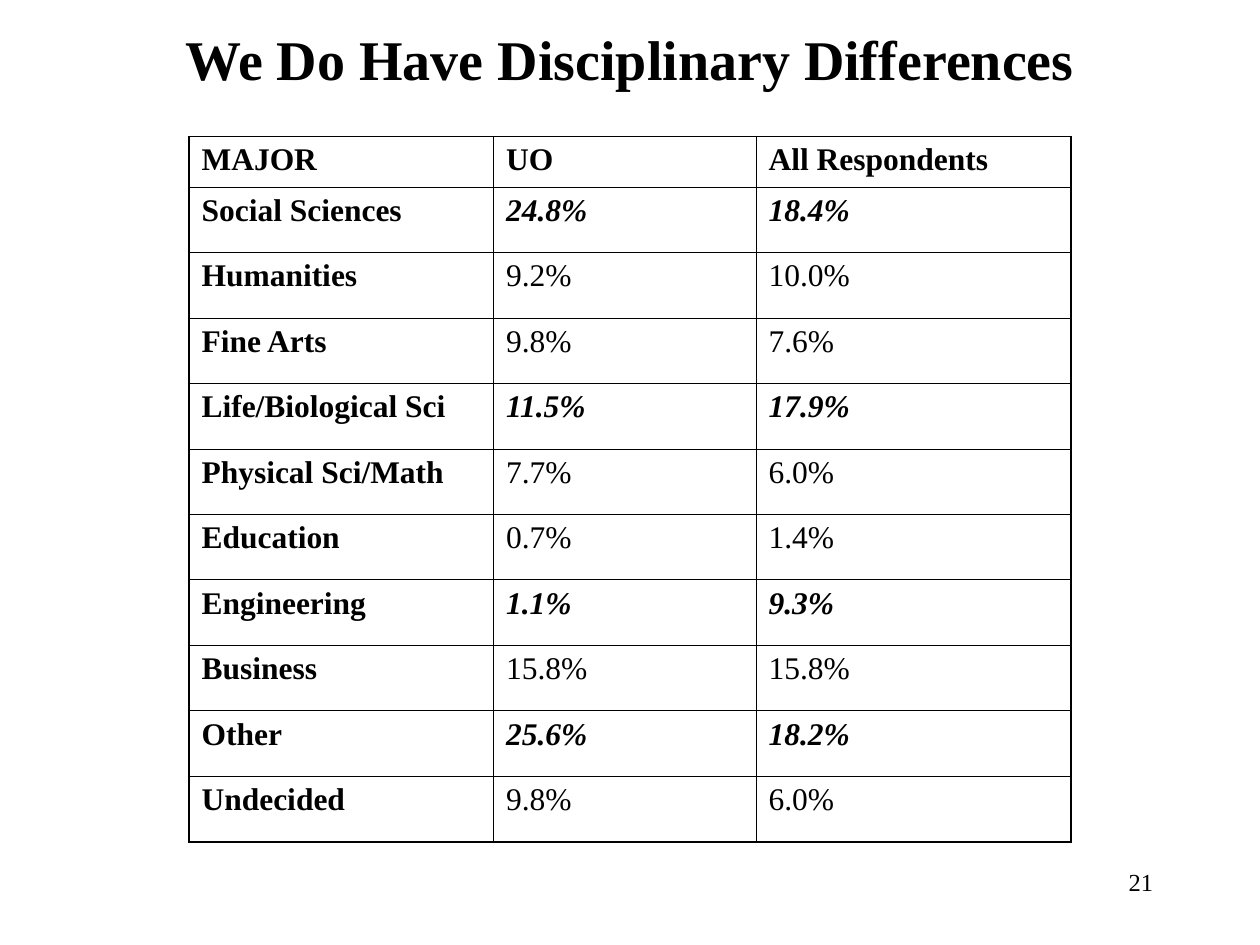
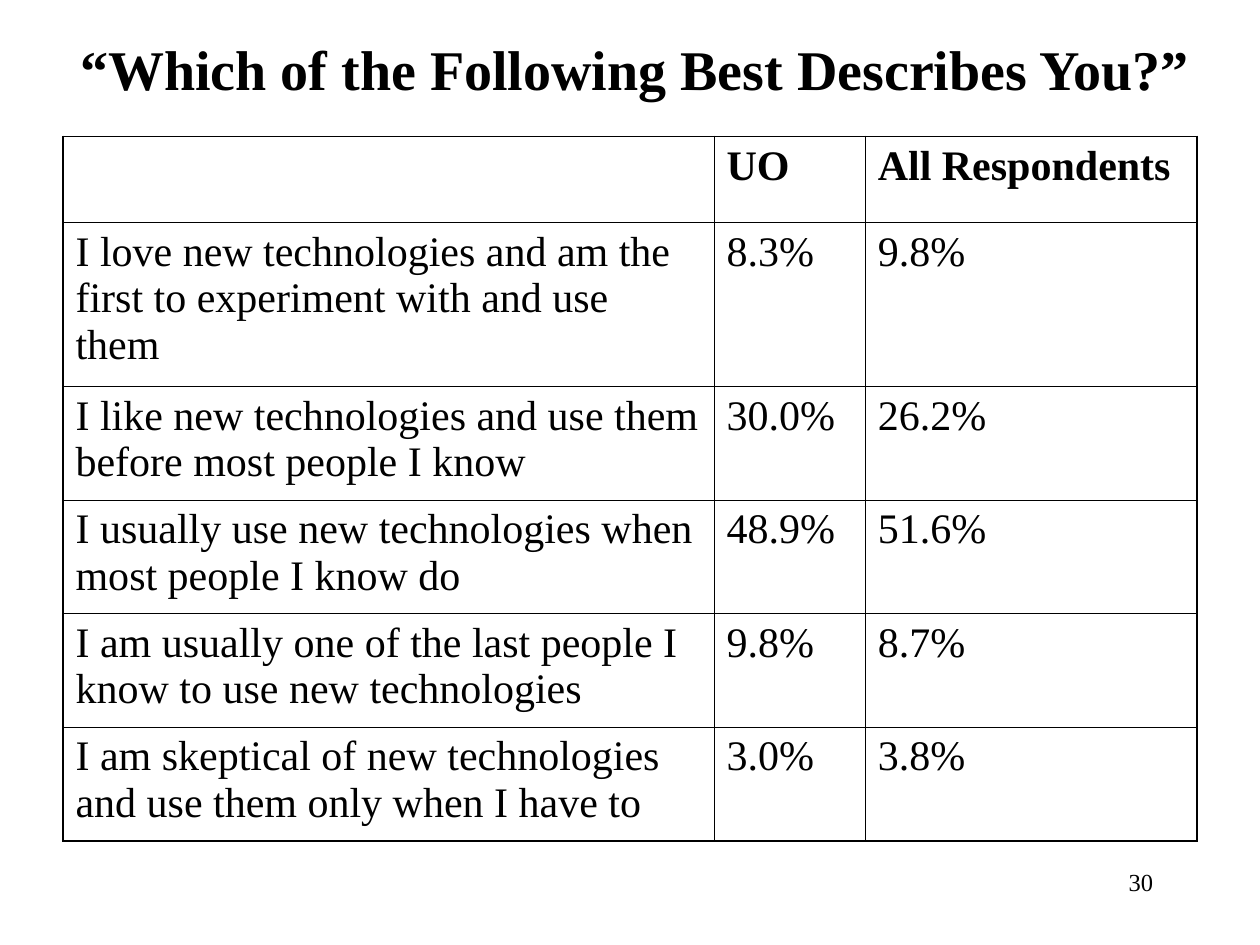
from lxml import etree
from pptx import Presentation
from pptx.dml.color import RGBColor
from pptx.enum.text import MSO_ANCHOR, PP_ALIGN
from pptx.oxml.ns import qn
from pptx.util import Inches, Pt

LEFT, CENTER, RIGHT = PP_ALIGN.LEFT, PP_ALIGN.CENTER, PP_ALIGN.RIGHT
TOP, MIDDLE = MSO_ANCHOR.TOP, MSO_ANCHOR.MIDDLE

COLORS = {"text": "000000", "border": "000000"}
FONT = "Times New Roman"
SLIDE_WIDTH, SLIDE_HEIGHT = Inches(10), Inches(7.5)
GRID_COLUMNS, GRID_ROWS = 120, 90
TABLE_TOP = 13
OUTER_LINE, INNER_LINE = Pt(1.08), Pt(0.45)

MAJORS = [
    ("MAJOR", "UO", "All Respondents"),
    ("Social Sciences", "24.8%", "18.4%"),
    ("Humanities", "9.2%", "10.0%"),
    ("Fine Arts", "9.8%", "7.6%"),
    ("Life/Biological Sci", "11.5%", "17.9%"),
    ("Physical Sci/Math", "7.7%", "6.0%"),
    ("Education", "0.7%", "1.4%"),
    ("Engineering", "1.1%", "9.3%"),
    ("Business", "15.8%", "15.8%"),
    ("Other", "25.6%", "18.2%"),
    ("Undecided", "9.8%", "6.0%"),
]
NOTABLE_MAJORS = {"Social Sciences", "Life/Biological Sci", "Engineering", "Other"}

ATTITUDES = [
    ("", "UO", "All Respondents"),
    ("I love new technologies and am the first to experiment with and use them", "8.3%", "9.8%"),
    ("I like new technologies and use them before most people I know", "30.0%", "26.2%"),
    ("I usually use new technologies when most people I know do", "48.9%", "51.6%"),
    ("I am usually one of the last people I know to use new technologies", "9.8%", "8.7%"),
    ("I am skeptical of new technologies and use them only when I have to", "3.0%", "3.8%"),
]


def across(columns):
    return round(SLIDE_WIDTH * columns / GRID_COLUMNS)


def down(rows):
    return round(SLIDE_HEIGHT * rows / GRID_ROWS)


def write_text(text_frame, text, size, bold=False, italic=False, align=LEFT):
    text_frame.word_wrap = True
    paragraph = text_frame.paragraphs[0]
    paragraph.alignment = align
    paragraph.font.size = Pt(size)
    if not text:
        return
    run = paragraph.add_run()
    run.text = text
    run.font.name = FONT
    run.font.size = Pt(size)
    run.font.bold = bold
    run.font.italic = italic
    run.font.color.rgb = RGBColor.from_string(COLORS["text"])


def add_text(slide, text, left, top, width, height, anchor=TOP, **text_format):
    box = slide.shapes.add_textbox(across(left), down(top), across(width), down(height))
    box.text_frame.vertical_anchor = anchor
    write_text(box.text_frame, text, **text_format)


def add_title(slide, text, left, width, height):
    add_text(slide, text, left, 2, width, height, anchor=MIDDLE, size=32, bold=True, align=CENTER)


def add_page_number(slide, number):
    add_text(slide, str(number), 86, 82, 25, 6, size=14, align=RIGHT)


def set_borders(cell, outer_edges):
    properties = cell._tc.get_or_add_tcPr()
    for edge in "LRTB":
        width = OUTER_LINE if edge in outer_edges else INNER_LINE
        line = etree.SubElement(properties, qn(f"a:ln{edge}"), w=str(int(width)))
        fill = etree.SubElement(line, qn("a:solidFill"))
        etree.SubElement(fill, qn("a:srgbClr"), val=COLORS["border"])


def outer_edges_at(row, column, row_count, column_count):
    edges = {"L": column == 0, "R": column == column_count - 1,
             "T": row == 0, "B": row == row_count - 1}
    return {edge for edge, is_outer in edges.items() if is_outer}


def add_grid_table(slide, records, left, widths, heights, size, bold_labels=False, notable=()):
    row_count, column_count = len(records), len(widths)
    table = slide.shapes.add_table(
        row_count, column_count, across(left), down(TABLE_TOP),
        across(sum(widths)), down(sum(heights))).table
    table.first_row = table.horz_banding = False
    for column, width in zip(table.columns, widths):
        column.width = across(width)
    for row, height in zip(table.rows, heights):
        row.height = down(height)
    for row, record in enumerate(records):
        emphasized = record[0] in notable
        for column, text in enumerate(record):
            cell = table.cell(row, column)
            set_borders(cell, outer_edges_at(row, column, row_count, column_count))
            cell.fill.background()
            is_label = bold_labels and column == 0
            write_text(cell.text_frame, text, size,
                       bold=row == 0 or is_label or emphasized,
                       italic=emphasized and column > 0)


def add_majors_slide(presentation, layout):
    slide = presentation.slides.add_slide(layout)
    add_title(slide, "We Do Have Disciplinary Differences", 9, 102, 7)
    add_grid_table(slide, MAJORS, 18, [29, 25, 30], [4.8] + [6.24] * 10,
                   size=18, bold_labels=True, notable=NOTABLE_MAJORS)
    add_page_number(slide, 21)


def add_attitudes_slide(presentation, layout):
    slide = presentation.slides.add_slide(layout)
    add_title(slide, "“Which of the Following Best Describes You?”", 4, 113, 9)
    add_grid_table(slide, ATTITUDES, 6, [62, 14.4, 31.6], [8.2, 15.4] + [10.82] * 4, size=24)
    add_page_number(slide, 30)


def main():
    presentation = Presentation()
    presentation.slide_width, presentation.slide_height = SLIDE_WIDTH, SLIDE_HEIGHT
    blank_layout = presentation.slide_layouts[6]
    add_majors_slide(presentation, blank_layout)
    add_attitudes_slide(presentation, blank_layout)
    presentation.save("out.pptx")


if __name__ == "__main__":
    main()
